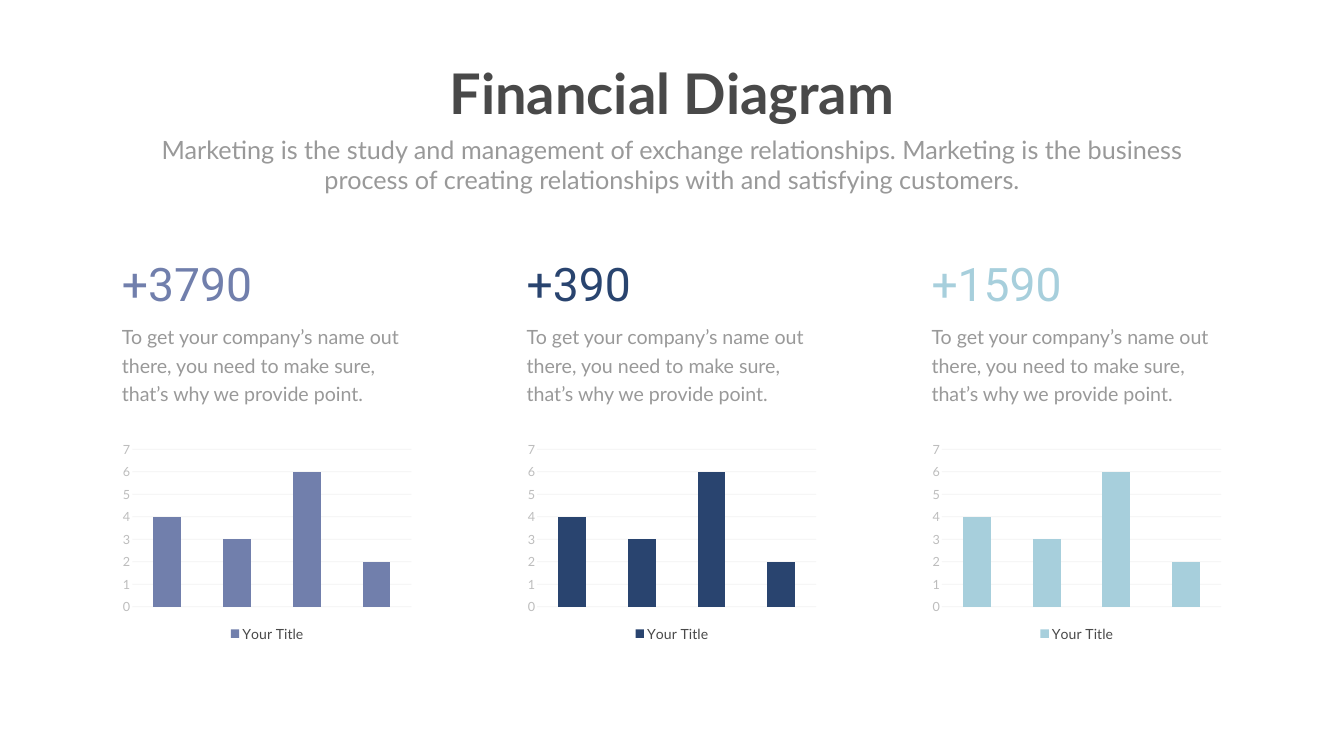
from lxml.etree import SubElement
from pptx import Presentation
from pptx.chart.data import CategoryChartData
from pptx.dml.color import RGBColor
from pptx.enum.chart import XL_CHART_TYPE as ChartType
from pptx.enum.chart import XL_LEGEND_POSITION as LegendPosition
from pptx.enum.chart import XL_TICK_MARK as TickMark
from pptx.enum.text import MSO_ANCHOR as Anchor
from pptx.enum.text import MSO_AUTO_SIZE as AutoSize
from pptx.enum.text import PP_ALIGN as Align
from pptx.oxml.ns import qn
from pptx.util import Pt

PX = 9144
GREY = "999999"
DARK = "494949"
COLUMN_LEFT, COLUMN_STEP, COLUMN_WIDTH = 232, 803, 596
FIGURES = [("+3790", "717FAC"), ("+390", "29446F"), ("+1590", "A7CFDC")]
VALUES = [4, 3, 6, 2]
INTRO = (
    "Marketing is the study and management of exchange relationships. "
    "Marketing is the business process of creating relationships with "
    "and satisfying customers."
)
PITCH = (
    "To get your company’s name out there, you need to make sure, "
    "that’s why we provide point."
)


def emu(*lengths):
    return [length * PX for length in lengths]


def rgb(code):
    return RGBColor.from_string(code)


def style_font(font, size, color, name="Lato", bold=False):
    font.size = Pt(size)
    font.name = name
    font.bold = bold
    font.color.rgb = rgb(color)


def fill_text(shape, text, size, color, name="Lato", bold=False,
              align=Align.LEFT, spacing=None):
    frame = shape.text_frame
    frame.text = text
    frame.word_wrap = True
    frame.auto_size = AutoSize.NONE
    frame.vertical_anchor = Anchor.TOP
    paragraph = frame.paragraphs[0]
    paragraph.alignment = align
    if spacing:
        paragraph.line_spacing = Pt(spacing)
    style_font(paragraph.runs[0].font, size, color, name, bold)


def add_title(slide, text):
    title = slide.shapes.title
    title.left, title.top, title.width, title.height = emu(871, 112, 924, 145)
    fill_text(title, text, 80, DARK, bold=True, align=Align.CENTER)


def add_text(slide, box, text, size, color, **options):
    fill_text(slide.shapes.add_textbox(*emu(*box)), text, size, color, **options)


def style_gridlines(axis):
    line = axis.major_gridlines.format.line
    line.width = Pt(1)
    line.color.rgb = rgb("808080")
    grid = axis.major_gridlines._xAx.find(qn("c:majorGridlines"))
    tint = next(grid.iter(qn("a:srgbClr")))
    SubElement(tint, qn("a:alpha"), val="10000")


def add_column_chart(slide, box, color):
    data = CategoryChartData()
    data.categories = ["1", "2", "3", "4"]
    data.add_series("Your Title", VALUES)
    chart = slide.shapes.add_chart(
        ChartType.COLUMN_STACKED, *emu(*box), data).chart
    style_font(chart.font, 18, GREY)
    chart.has_title = False
    chart.has_legend = True
    chart.legend.position = LegendPosition.BOTTOM
    chart.legend.include_in_layout = False
    style_font(chart.legend.font, 20, DARK)

    chart.category_axis.visible = False
    scale = chart.value_axis
    scale.minimum_scale, scale.maximum_scale, scale.major_unit = 0, 7, 1
    scale.major_tick_mark = TickMark.NONE
    scale.minor_tick_mark = TickMark.NONE
    scale.format.line.fill.background()
    style_font(scale.tick_labels.font, 18, "BDBDBD")
    style_gridlines(scale)

    plot = chart.plots[0]
    plot.vary_by_categories = False
    plot.gap_width = 150
    plot.overlap = 100
    columns = plot.series[0].format.fill
    columns.solid()
    columns.fore_color.rgb = rgb(color)


def add_figure(slide, left, amount, color):
    add_text(slide, (left, 501, 450, 121), amount, 66, color, name="Roboto")
    add_text(slide, (left, 630, COLUMN_WIDTH, 177), PITCH, 28, GREY,
             spacing=40.8)
    add_column_chart(slide, (left, 868, COLUMN_WIDTH, 412), color)


def main():
    deck = Presentation()
    deck.slide_width, deck.slide_height = emu(2666, 1500)
    slide = deck.slides.add_slide(deck.slide_layouts[5])
    add_title(slide, "Financial Diagram")
    add_text(slide, (292, 261, 2082, 131), INTRO, 36, GREY, align=Align.CENTER)
    for index, (amount, color) in enumerate(FIGURES):
        add_figure(slide, COLUMN_LEFT + index * COLUMN_STEP, amount, color)
    deck.save("out.pptx")


if __name__ == "__main__":
    main()
